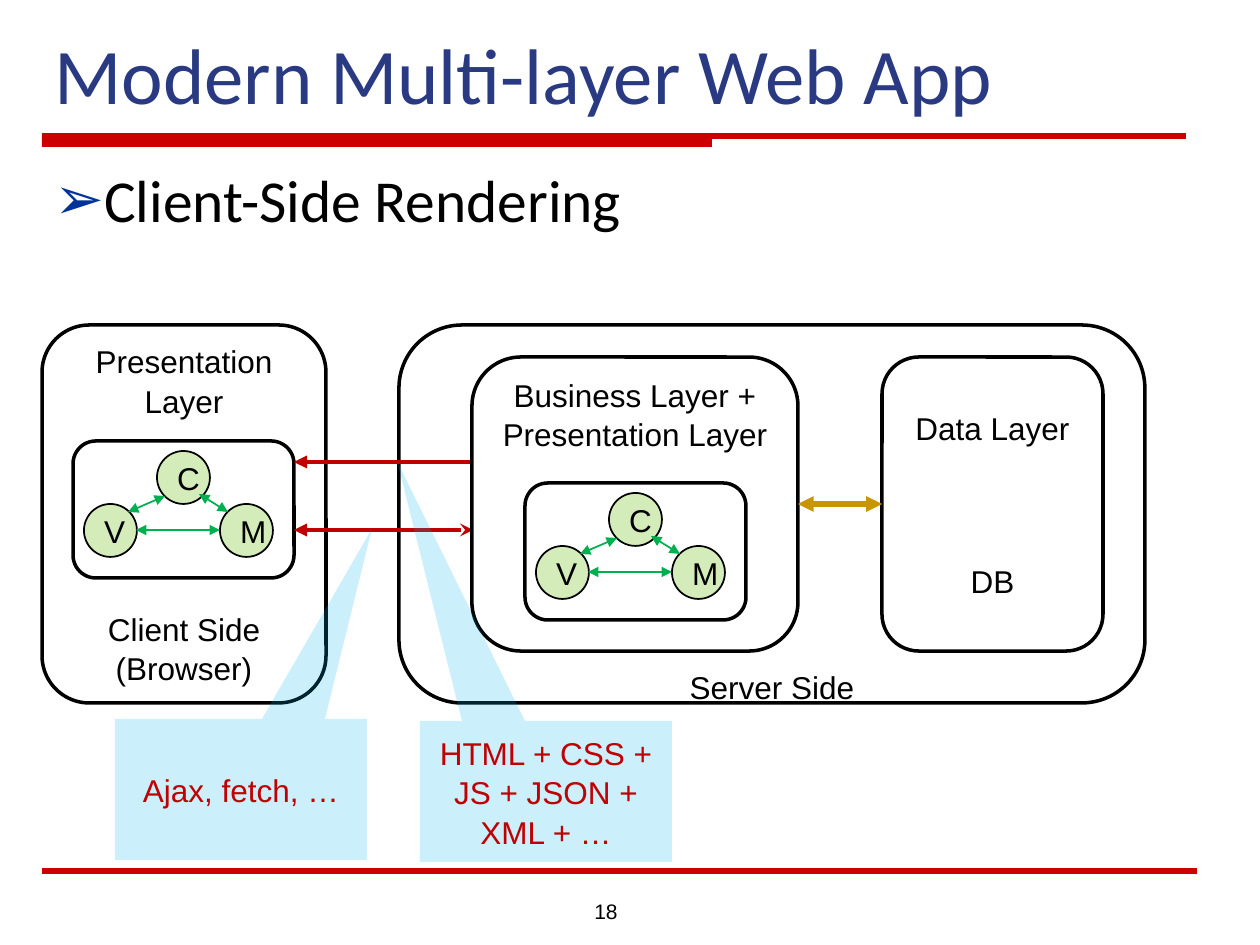
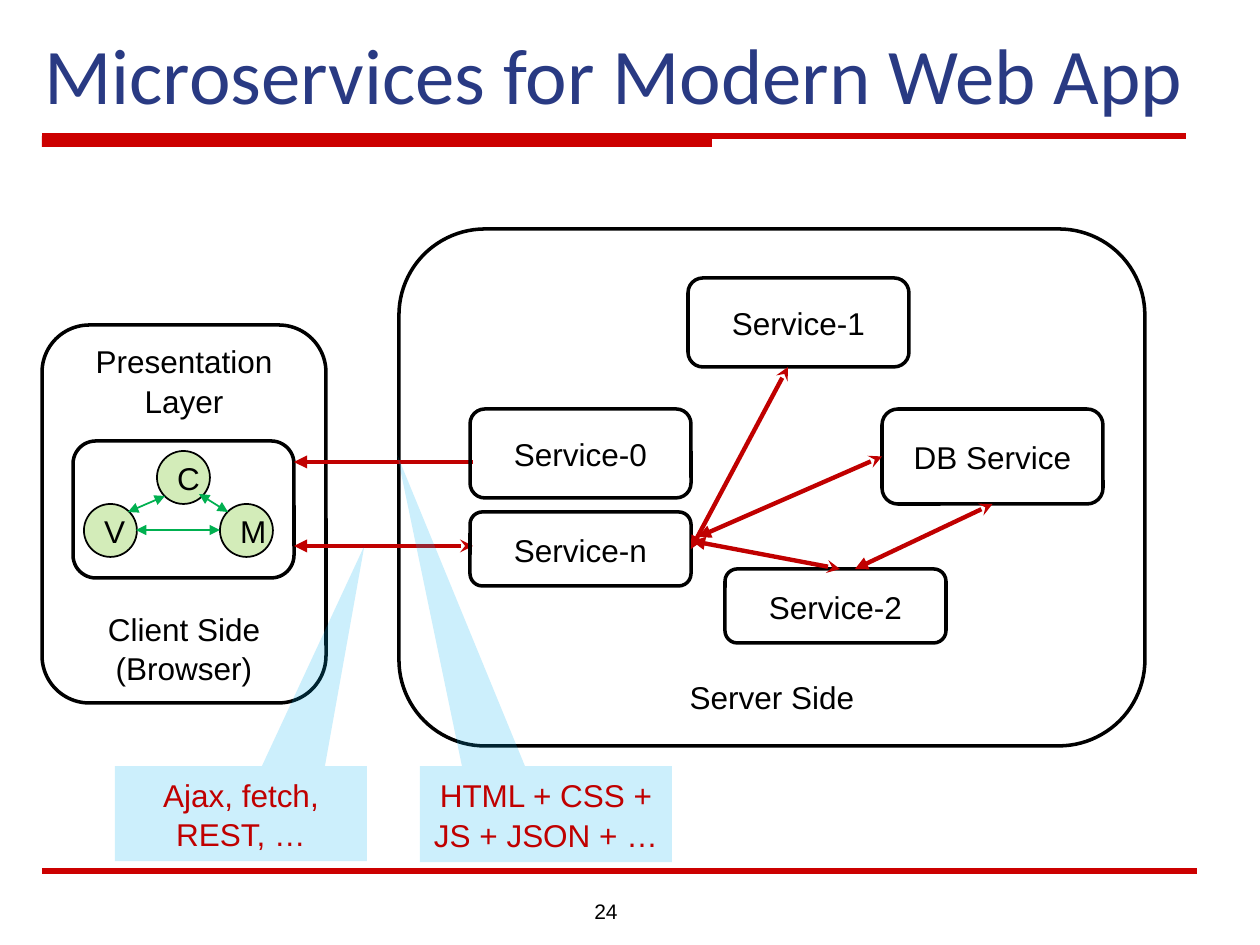
"""Build two slides on layered and microservice web applications."""
from lxml.etree import SubElement
from pptx import Presentation
from pptx.dml.color import RGBColor
from pptx.enum.shapes import MSO_CONNECTOR, MSO_SHAPE
from pptx.enum.text import MSO_ANCHOR, PP_ALIGN
from pptx.oxml.ns import qn
from pptx.util import Emu, Pt

BLACK = RGBColor(0x00, 0x00, 0x00)
NAVY = RGBColor(0x29, 0x3A, 0x83)
BLUE = RGBColor(0x00, 0x33, 0x99)
SKY = RGBColor(0x00, 0xB0, 0xF0)
RULE_RED = RGBColor(0xCC, 0x00, 0x00)
RED = RGBColor(0xC0, 0x00, 0x00)
GOLD = RGBColor(0xC8, 0x96, 0x00)
GREEN = RGBColor(0x00, 0xB0, 0x50)
LIME = RGBColor(0x92, 0xD0, 0x50)


def px(n):
    return Emu(round(n * 914400 / 126))


def write(sp, *lines, size=18, color=BLACK, font="Arial", align=PP_ALIGN.CENTER,
          anchor=MSO_ANCHOR.MIDDLE, spacing=1.04, gaps=None):
    tf = sp.text_frame
    tf.word_wrap = True
    tf.vertical_anchor = anchor
    for i, line in enumerate(lines):
        p = tf.add_paragraph() if i else tf.paragraphs[0]
        p.alignment = align
        p.line_spacing = spacing
        if gaps and i in gaps:
            p.space_before = Pt(gaps[i])
        r = p.add_run()
        r.text = line
        r.font.size = Pt(size)
        r.font.name = font
        r.font.color.rgb = color
    return sp


class Deck:
    def __init__(self):
        self.prs = Presentation()
        self.prs.slide_width, self.prs.slide_height = px(1260), px(945)

    def new_slide(self, title, number, left, width):
        self.s = self.prs.slides.add_slide(self.prs.slide_layouts[6])
        self.shape(MSO_SHAPE.RECTANGLE, 42, 136, 670, 11, fill=RULE_RED)
        self.line((42, 136), (1186, 136), RULE_RED, 3)
        self.line((42, 871), (1197, 871), RULE_RED, 3)
        self.text(left, 21, width, 105, title, size=45, color=NAVY, font="Calibri",
                  align=PP_ALIGN.LEFT, anchor=MSO_ANCHOR.BOTTOM, spacing=1.0)
        self.text(546, 892, 84, 34, number, size=12, align=PP_ALIGN.RIGHT,
                  anchor=MSO_ANCHOR.TOP, spacing=1.0)

    def text(self, x, y, w, h, *lines, **style):
        sp = self.s.shapes.add_textbox(px(x), px(y), px(w), px(h))
        return write(sp, *lines, **style)

    def bullet(self, x, y, w, h, line):
        sp = self.text(x, y, w, h, line, size=34, font="Calibri", align=PP_ALIGN.LEFT,
                       anchor=MSO_ANCHOR.TOP, spacing=1.0, gaps={0: 12})
        pPr = sp.text_frame.paragraphs[0]._p.get_or_add_pPr()
        pPr.set("marL", str(px(47)))
        pPr.set("indent", str(-px(47)))
        SubElement(SubElement(pPr, qn("a:buClr")), qn("a:srgbClr"), val=str(BLUE))
        SubElement(pPr, qn("a:buFont"), typeface="Arial")
        SubElement(pPr, qn("a:buChar"), char="➢")

    def shape(self, kind, x, y, w, h, fill=None, alpha=100, border=0):
        sp = self.s.shapes.add_shape(kind, px(x), px(y), px(w), px(h))
        sp.shadow.inherit = False
        if fill is None:
            sp.fill.background()
        else:
            sp.fill.solid()
            sp.fill.fore_color.rgb = fill
            if alpha < 100:
                clr = sp._element.spPr.find(qn("a:solidFill"))[0]
                SubElement(clr, qn("a:alpha"), val=str(alpha * 1000))
        if border:
            sp.line.color.rgb = BLACK
            sp.line.width = Pt(border)
        else:
            sp.line.fill.background()
        return sp

    def box(self, x, y, w, h, *lines, **style):
        sp = self.shape(MSO_SHAPE.ROUNDED_RECTANGLE, x, y, w, h, border=2)
        return write(sp, *lines, **style) if lines else sp

    def callout(self, x, y, w, h, line, tip):
        sp = self.shape(MSO_SHAPE.RECTANGULAR_CALLOUT, x, y, w, h, SKY, 20)
        sp.adjustments[0], sp.adjustments[1] = tip
        write(sp, line, color=RED)

    def line(self, start, end, color, width, head=None, tail=None, joins=(None, None)):
        """Draw a line; joins holds a (shape, side) pair for each joined end."""
        c = self.s.shapes.add_connector(MSO_CONNECTOR.STRAIGHT, *map(px, (*start, *end)))
        c.line.color.rgb = color
        c.line.width = Pt(width)
        SubElement(c._element.spPr, qn("a:effectLst"))
        ln = c.line._get_or_add_ln()
        for tag, kind in (("a:headEnd", head), ("a:tailEnd", tail)):
            if kind:
                SubElement(ln, qn(tag), type=kind)
        for connect, join in zip((c.begin_connect, c.end_connect), joins):
            if join:
                connect(*join)

    def link(self, start, end, joins=(None, None)):
        self.line(start, end, RED, 2.5, "stealth", "triangle", joins)

    def mvc(self, x, y):
        self.box(x, y, 221, 137)
        for letter, dx, dy in (("V", 11, 63), ("C", 84, 10), ("M", 147, 63)):
            write(self.shape(MSO_SHAPE.OVAL, x + dx, y + dy, 53, 53, LIME, 40, 1), letter)
        for x1, y1, x2, y2 in ((126, 53, 155, 71), (63, 89, 147, 89), (55, 71, 92, 55)):
            self.line((x + x1, y + y1), (x + x2, y + y2), GREEN, 1, "triangle", "triangle")

    def client(self, request_y):
        self.box(42, 325, 284, 378, "Presentation Layer", "Client Side", "(Browser)",
                 gaps={1: 108})
        self.mvc(73, 441)
        self.line((473, 462), (294, 462), RED, 2.5, tail="triangle")
        self.link((473, request_y), (294, request_y))

    def server(self, y, h, label_y):
        self.box(399, y, 746, h)
        self.text(399, label_y, 746, 50, "Server Side")


def layers_slide(d):
    d.new_slide("Modern Multi-layer Web App", "18", 42, 1166)
    d.bullet(42, 157, 1155, 100, "Client-Side Rendering")
    d.server(325, 378, 661)
    d.client(530)
    business = d.box(472, 357, 326, 294, "Business Layer + Presentation Layer",
                     anchor=MSO_ANCHOR.TOP)
    business.text_frame.margin_top = px(3)
    data = d.box(882, 357, 221, 294, "Data Layer", "DB", gaps={1: 65})
    d.line((798, 504), (882, 504), GOLD, 3, "triangle", "triangle",
           ((business, 3), (data, 1)))
    d.mvc(525, 483)
    d.callout(420, 721, 252, 141, "HTML + CSS + JS + JSON + XML + …", (-0.59, -2.34))
    d.callout(115, 719, 252, 141, "Ajax, fetch, …", (0.52, -1.85))


def services_slide(d):
    d.new_slide("Microservices for Modern Web App", "24", 32, 1218)
    d.server(229, 517, 671)
    d.client(546)
    db = d.box(882, 409, 221, 95, "DB Service")
    d.box(688, 278, 221, 89, "Service-1")
    d.box(725, 569, 221, 74, "Service-2")
    d.box(470, 409, 221, 89, "Service-0")
    gateway = d.box(470, 512, 221, 74, "Service-n")
    d.link((788, 367), (688, 546), (None, (gateway, 3)))
    d.link((882, 457), (698, 537), ((db, 1), None))
    d.link((840, 569), (692, 541))
    d.link((992, 504), (855, 569), ((db, 2), None))
    d.callout(420, 766, 252, 96, "HTML + CSS + JS + JSON + …", (-0.59, -3.74))
    d.callout(115, 766, 252, 95, "Ajax, fetch, REST, …", (0.49, -2.82))


def main():
    d = Deck()
    layers_slide(d)
    services_slide(d)
    d.prs.save("out.pptx")


if __name__ == "__main__":
    main()
